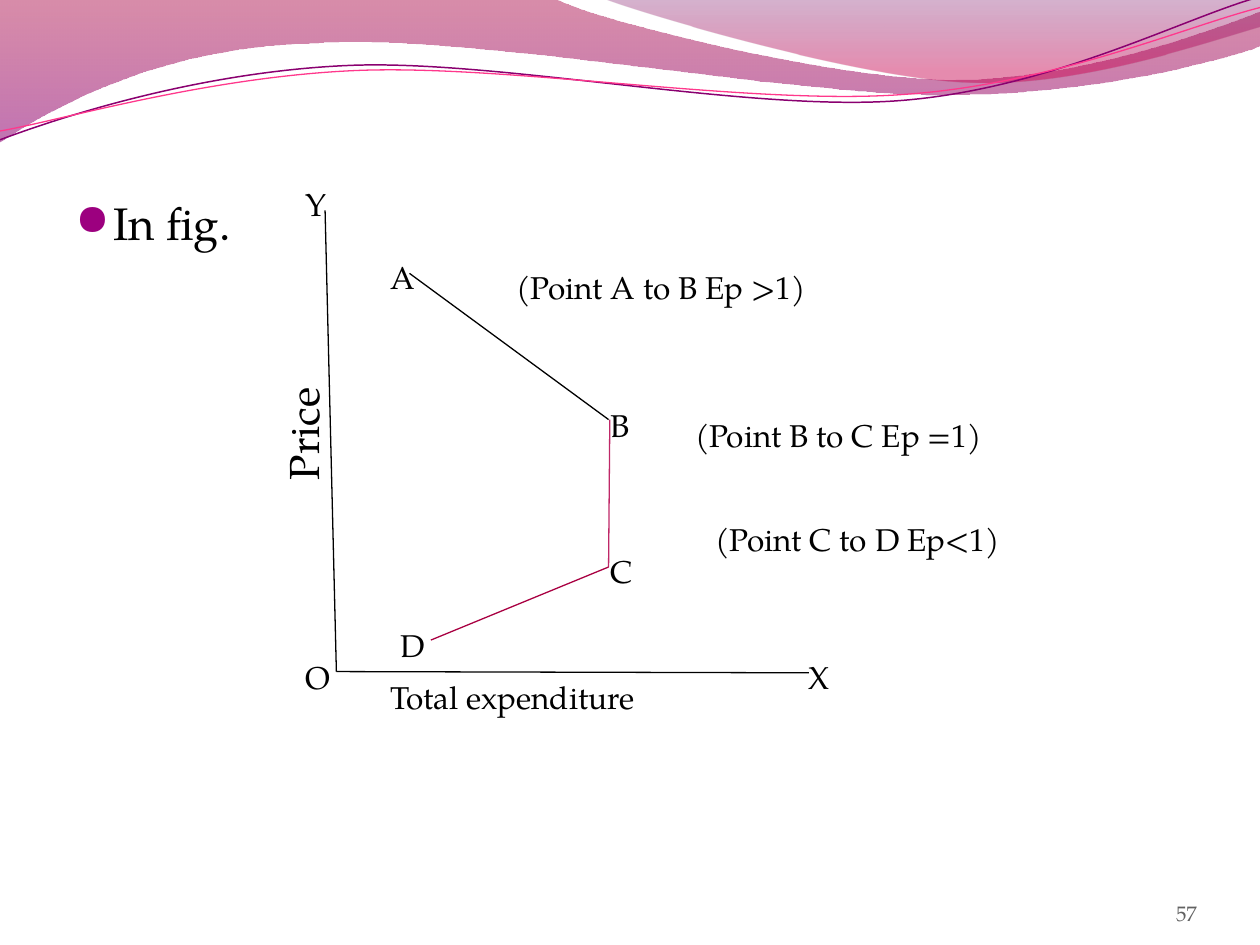
from lxml import etree
from pptx import Presentation
from pptx import util as u
from pptx.dml.color import RGBColor
from pptx.enum import shapes, text
from pptx.oxml.ns import qn

PX = 9144
FONT = "TeX Gyre Pagella"
BLACK = RGBColor(0x00, 0x00, 0x00)
GRAY = RGBColor(0x61, 0x61, 0x61)
CRIMSON = RGBColor(0xA9, 0x00, 0x42)
ROSE = RGBColor(0xBF, 0x27, 0x67)
RED = RGBColor(0xC9, 0x00, 0x4F)
PURPLE = RGBColor(0x8E, 0x00, 0x73)
DARK_PURPLE = RGBColor(0x73, 0x00, 0x5E)
LINE_PURPLE = RGBColor(0x8A, 0x00, 0x70)
PINK = RGBColor(0xFF, 0x38, 0x8C)
BULLET_COLOR = RGBColor(0x9C, 0x00, 0x7F)

presentation = Presentation()
presentation.slide_width = 1000 * PX
presentation.slide_height = 750 * PX
slide = presentation.slides.add_slide(presentation.slide_layouts[6])


def add_outline(start, segments, close):
    points = [pair for segment in segments for pair in zip(segment[::2], segment[1::2])]
    builder = slide.shapes.build_freeform(*start, scale=PX)
    builder.add_line_segments(points, close=close)
    shape = builder.convert_to_shape()
    shape.shadow.inherit = False
    steps = iter(list(shape.element.spPr.iter(qn("a:lnTo"))))
    for segment in segments:
        step = next(steps)
        if len(segment) == 6:
            curve = etree.Element(qn("a:cubicBezTo"))
            step.addprevious(curve)
            for part in (step, next(steps), next(steps)):
                curve.append(part[0])
                part.getparent().remove(part)
    return shape


def add_text(content, left, top, width, height, size=18, color=BLACK):
    shape = slide.shapes.add_textbox(left * PX, top * PX, width * PX, height * PX)
    shape.text_frame.word_wrap = True
    run = shape.text_frame.paragraphs[0].add_run()
    run.text = content
    for name, value in {"name": FONT, "size": u.Pt(size)}.items():
        setattr(run.font, name, value)
    run.font.color.rgb = color
    return shape


waves = [
    ((0, 0), [(440, -1), (476, 17, 664, 63, 758, 63), (853, 63, 958, 26, 1000, 9),
              (1001, 36), (983, 44, 870, 76, 746, 75), (622, 75, 382, 28, 257, 34),
              (129, 36, 46, 83, -1, 113), (0, 0)],
     [(0, CRIMSON, 45), (1, PURPLE, 55)]),
    ((479, -1), [(509, 11, 682, 62, 769, 65), (856, 69, 961, 32, 1000, 21),
                 (1000, 0), (479, -1)],
     [(0, DARK_PURPLE, 30), (0.8, RED, 45)]),
]
for start, segments, stops in waves:
    shape = add_outline(start, segments, True)
    shape.line.fill.background()
    shape.fill.gradient()
    shape.fill.gradient_angle = 270
    for stop, (position, color, _) in zip(shape.fill.gradient_stops, stops):
        stop.position = position
        stop.color.rgb = color
    for element, (_, _, opacity) in zip(shape.element.spPr.iter(qn("a:srgbClr")), stops):
        etree.SubElement(element, qn("a:alpha"), val=str(opacity * 1000))

ribbons = [
    ((0, 111), [(48, 93, 158, 57, 277, 52), (395, 47, 593, 89, 713, 80),
                (833, 71, 938, 15, 998, -2)], LINE_PURPLE, 0.85),
    ((0, 104), [(47, 96, 164, 61, 283, 56), (403, 51, 597, 84, 717, 75),
                (836, 67, 941, 21, 1000, 6)], PINK, 0.75),
]
for start, segments, color, width in ribbons:
    shape = add_outline(start, segments, False)
    shape.fill.background()
    shape.line.color.rgb = color
    shape.line.width = u.Pt(width)

body = add_text("In fig.", 50, 150, 900, 542, size=26)
properties = body.text_frame.paragraphs[0]._p.get_or_add_pPr()
properties.set("marL", str(30 * PX))
properties.set("indent", str(-30 * PX))
bullet_color = etree.SubElement(properties, qn("a:buClr"))
etree.SubElement(bullet_color, qn("a:srgbClr"), val=str(BULLET_COLOR))
etree.SubElement(properties, qn("a:buSzPct"), val="95000")
etree.SubElement(properties, qn("a:buFont"), typeface="OpenSymbol")
etree.SubElement(properties, qn("a:buChar"), char="●")

page_number = add_text("57", 867, 695, 83, 40, size=12, color=GRAY)
frame_format = {"margin_left": 0, "margin_right": 0, "margin_top": 0, "margin_bottom": 0,
                "vertical_anchor": text.MSO_ANCHOR.BOTTOM}
for name, value in frame_format.items():
    setattr(page_number.text_frame, name, value)
page_number.text_frame.paragraphs[0].alignment = text.PP_ALIGN.RIGHT

lines = [
    (258, 167, 267, 533, BLACK),
    (267, 533, 642, 534, BLACK),
    (325, 217, 483, 333, BLACK),
    (484, 333, 483, 450, ROSE),
    (483, 450, 342, 508, CRIMSON),
]
for *ends, color in lines:
    connector = slide.shapes.add_connector(
        shapes.MSO_CONNECTOR.STRAIGHT, *(end * PX for end in ends))
    connector.line.color.rgb = color
    connector.line.width = u.Pt(0.75)
    etree.SubElement(connector.element.spPr, qn("a:effectLst"))

labels = [
    ("A", 300, 200, 37),
    ("B", 475, 317, 37),
    ("C", 475, 433, 37),
    ("D", 308, 492, 45),
    ("X", 642, 517, 5),
    ("O", 233, 517, 33),
    ("Y", 233, 142, 37),
    ("Total expenditure", 300, 533, 292),
    ("(Point A to B Ep >1)", 400, 208, 295),
    ("(Point B to C Ep =1)", 542, 325, 304),
    ("(Point C to D Ep<1)", 558, 408, 342),
]
for content, left, top, width in labels:
    label = add_text(content, left, top, width, 40)
    label.text_frame.auto_size = text.MSO_AUTO_SIZE.SHAPE_TO_FIT_TEXT

price = add_text("Price", 169, 295, 142, 50, size=24)
price.text_frame.auto_size = text.MSO_AUTO_SIZE.SHAPE_TO_FIT_TEXT
price.rotation = 270

presentation.save("out.pptx")
